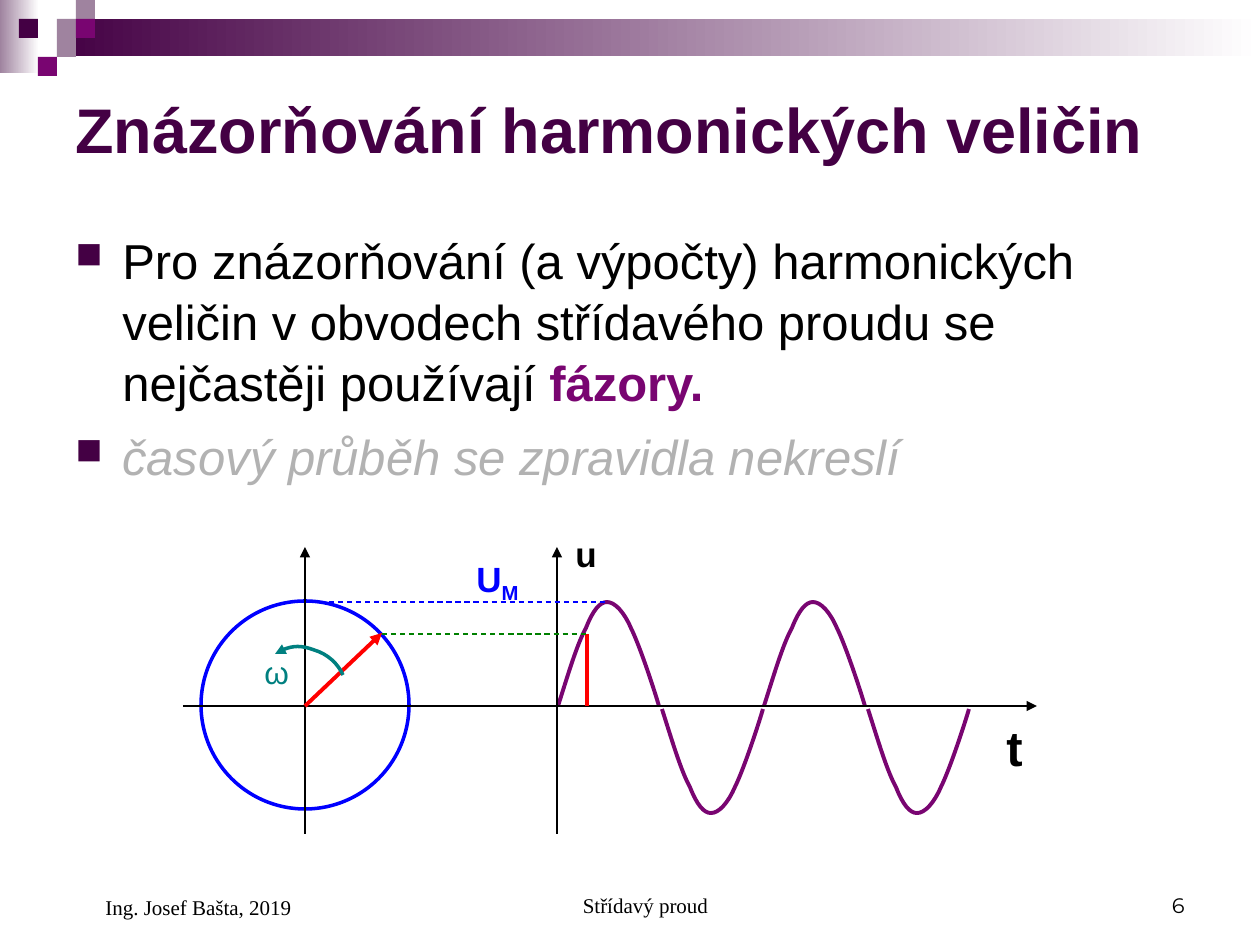
from dataclasses import dataclass
from typing import NamedTuple

import lxml.etree
import pptx
import pptx.dml.color
import pptx.enum.dml
import pptx.enum.shapes
import pptx.enum.text
import pptx.oxml
import pptx.oxml.ns
import pptx.util

RGB = pptx.dml.color.RGBColor
ALIGN = pptx.enum.text.PP_ALIGN
ANCHOR = pptx.enum.text.MSO_ANCHOR
SHAPE = pptx.enum.shapes.MSO_SHAPE
qn = pptx.oxml.ns.qn

BLACK = RGB(0x00, 0x00, 0x00)
WHITE = RGB(0xFF, 0xFF, 0xFF)
DARK = RGB(0x44, 0x00, 0x44)
PURPLE = RGB(0x79, 0x05, 0x71)
MAUVE = RGB(0x9F, 0x83, 0x9F)
GREY = RGB(0xB2, 0xB2, 0xB2)
BLUE = RGB(0x00, 0x00, 0xFF)
RED = RGB(0xFF, 0x00, 0x00)
GREEN = RGB(0x00, 0x80, 0x00)
TEAL = RGB(0x00, 0x80, 0x80)

SCALE = 914400 / 126
SQUARE = 19


class Box(NamedTuple):
    x: int
    y: int
    w: int
    h: int


class Point(NamedTuple):
    x: int
    y: int


class Run(NamedTuple):
    text: str
    size: int
    color: RGB = BLACK
    bold: bool = False
    italic: bool = False
    font: str = "Arial"
    baseline: int = 0


@dataclass
class Text:
    box: Box
    paragraphs: list[list[Run]]
    anchor: ANCHOR = ANCHOR.TOP
    align: ALIGN = ALIGN.LEFT
    bullets: bool = False
    indent: int = 0
    top: int = 6


@dataclass
class Line:
    start: Point
    end: Point
    color: RGB
    width: float
    arrow: bool = False
    dashed: bool = False


SQUARES = [(1, 1, MAUVE), (3, 0, MAUVE), (3, 1, PURPLE), (2, 2, MAUVE),
           (0, 1, DARK), (1, 3, PURPLE)]
BANDS = [(Box(0, 0, 39, 73), MAUVE), (Box(57, 19, 1203, 37), DARK)]

ARC = [Point(275, 654), Point(286, 646), Point(301, 645), Point(314, 650),
       Point(328, 654), Point(338, 664), Point(343, 675)]
HALF_WAVE = [Point(0, 0), Point(10, 31), Point(19, 62), Point(28, 78),
             Point(35, 96), Point(42, 104), Point(49, 104), Point(57, 104),
             Point(66, 94), Point(73, 78), Point(82, 60), Point(97, 14),
             Point(101, 0)]
HALF_PERIOD = 103

AXES = [Line(Point(x, 834), Point(x, 547), BLACK, 1.5, arrow=True)
        for x in (557, 305)]
AXES.append(Line(Point(183, 706), Point(1037, 706), BLACK, 1.5, arrow=True))
MEASURES = [
    Line(Point(305, 706), Point(382, 633), RED, 2.25, arrow=True),
    Line(Point(587, 634), Point(587, 706), RED, 2.25),
    Line(Point(382, 634), Point(586, 634), GREEN, 0.75, dashed=True),
    Line(Point(311, 602), Point(605, 602), BLUE, 0.75, dashed=True),
]

TEXTS = [
    Text(Box(63, 63, 1134, 130),
         [[Run("Znázorňování harmonických veličin", 36, DARK, bold=True)]],
         anchor=ANCHOR.MIDDLE),
    Text(Box(63, 218, 1134, 284),
         [[Run("Pro znázorňování (a výpočty) harmonických veličin v obvodech "
               "střídavého proudu se nejčastěji používají ", 28),
           Run("fázory.", 28, PURPLE, bold=True)],
          [Run("časový průběh se zpravidla nekreslí", 28, GREY, italic=True)]],
         bullets=True, indent=47, top=10),
    Text(Box(563, 522, 84, 55), [[Run("u", 20, bold=True)]], top=10),
    Text(Box(994, 707, 57, 72), [[Run("t", 28, bold=True)]], top=10),
    Text(Box(252, 643, 48, 50), [[Run("ω", 18, TEAL)]], top=10),
    Text(Box(464, 547, 103, 60),
         [[Run("U", 20, BLUE, bold=True),
           Run("M", 20, BLUE, bold=True, baseline=-25000)]], top=10),
    Text(Box(431, 861, 399, 63),
         [[Run("Střídavý proud", 12, font="Times New Roman")]],
         anchor=ANCHOR.BOTTOM, align=ALIGN.CENTER, indent=30),
    Text(Box(903, 861, 294, 63), [[Run("6", 12, font="Montserrat")]],
         anchor=ANCHOR.BOTTOM, align=ALIGN.RIGHT),
    Text(Box(63, 861, 294, 65),
         [[Run("Ing. Josef Bašta, 2019", 12, font="Times New Roman")]],
         anchor=ANCHOR.BOTTOM, indent=30),
]


def px(length: int) -> pptx.util.Emu:
    return pptx.util.Emu(round(length * SCALE))


def add_plain(shapes, kind: SHAPE, box: Box):
    """Add a preset shape with no shadow, fill or outline."""
    s = shapes.add_shape(kind, *map(px, box))
    s.shadow.inherit = False
    s.fill.background()
    s.line.fill.background()
    return s


def set_line(s, color: RGB, width: float, arrow_end: str = "") -> None:
    s.line.color.rgb = color
    s.line.width = pptx.util.Pt(width)
    if arrow_end:
        lxml.etree.SubElement(s.line._get_or_add_ln(), qn(f"a:{arrow_end}"),
                              type="triangle")


def add_line(shapes, line: Line) -> None:
    s = shapes.add_connector(pptx.enum.shapes.MSO_CONNECTOR.STRAIGHT,
                             *map(px, line.start), *map(px, line.end))
    if line.dashed:
        s.line.dash_style = pptx.enum.dml.MSO_LINE.DASH
    set_line(s, line.color, line.width, "tailEnd" if line.arrow else "")
    lxml.etree.SubElement(s._element.spPr, qn("a:effectLst"))


def add_curve(shapes, points: list[Point], color: RGB, width: float,
              arrow_end: str = "") -> None:
    """Draw a chain of cubic Bézier segments through every third point."""
    builder = shapes.build_freeform(*points[0], scale=SCALE)
    builder.add_line_segments(points[1:], close=False)
    s = builder.convert_to_shape()
    path = s._element.spPr.find(".//" + qn("a:path"))
    legs = path.findall(qn("a:lnTo"))
    for i in range(0, len(legs), 3):
        cubic = lxml.etree.SubElement(path, qn("a:cubicBezTo"))
        for leg in legs[i:i + 3]:
            cubic.append(leg[0])
            path.remove(leg)
    s.shadow.inherit = False
    s.fill.background()
    set_line(s, color, width, arrow_end)


def add_bullet(p, indent: int) -> None:
    p_pr = p._p.get_or_add_pPr()
    p_pr.set("indent", str(-px(indent)))
    color = lxml.etree.SubElement(p_pr, qn("a:buClr"))
    lxml.etree.SubElement(color, qn("a:srgbClr"), val=str(DARK))
    lxml.etree.SubElement(p_pr, qn("a:buSzPct"), val="75000")
    lxml.etree.SubElement(p_pr, qn("a:buChar"), char="■")


def add_text(shapes, text: Text) -> None:
    tf = shapes.add_textbox(*map(px, text.box)).text_frame
    tf.word_wrap = True
    tf.vertical_anchor = text.anchor
    tf.margin_top = px(text.top)
    for i, runs in enumerate(text.paragraphs):
        p = tf.add_paragraph() if i else tf.paragraphs[0]
        p.alignment = text.align
        if text.indent:
            p._p.get_or_add_pPr().set("marL", str(px(text.indent)))
        if text.bullets:
            add_bullet(p, text.indent)
            p.line_spacing = 1.04
        if i:
            p.space_before = pptx.util.Pt(7)
        for run in runs:
            r = p.add_run()
            r.text = run.text
            r.font.name = run.font
            r.font.size = pptx.util.Pt(run.size)
            r.font.bold = run.bold
            r.font.italic = run.italic
            r.font.color.rgb = run.color
            if run.baseline:
                r.font._element.set("baseline", str(run.baseline))


def main() -> None:
    prs = pptx.Presentation()
    prs.slide_width, prs.slide_height = px(1260), px(945)
    shapes = prs.slides.add_slide(prs.slide_layouts[6]).shapes
    for box, color in BANDS:
        s = add_plain(shapes, SHAPE.RECTANGLE, box)
        s.fill.gradient()
        s.fill.gradient_angle = 0
        for stop, shade in zip(s.fill.gradient_stops, (color, WHITE)):
            stop.color.rgb = shade
    for column, row, color in SQUARES:
        box = Box((column + 1) * SQUARE, row * SQUARE, SQUARE, SQUARE)
        if (column, row) == (1, 1):
            box = box._replace(x=3 * SQUARE)
        s = add_plain(shapes, SHAPE.RECTANGLE, box)
        s.fill.solid()
        s.fill.fore_color.rgb = color
    for i in range(4):
        start, side = (Point(558, 706), -1) if i % 2 == 0 else (Point(559, 709), 1)
        wave = [Point(start.x + i * HALF_PERIOD + x, start.y + side * y)
                for x, y in HALF_WAVE]
        add_curve(shapes, wave, PURPLE, 2.25)
    circle = add_plain(shapes, SHAPE.OVAL, Box(201, 601, 208, 208))
    set_line(circle, BLUE, 2)
    for line in AXES + MEASURES:
        add_line(shapes, line)
    add_curve(shapes, ARC, TEAL, 2, "headEnd")
    for text in TEXTS:
        add_text(shapes, text)
    prs.save("out.pptx")


if __name__ == "__main__":
    main()
